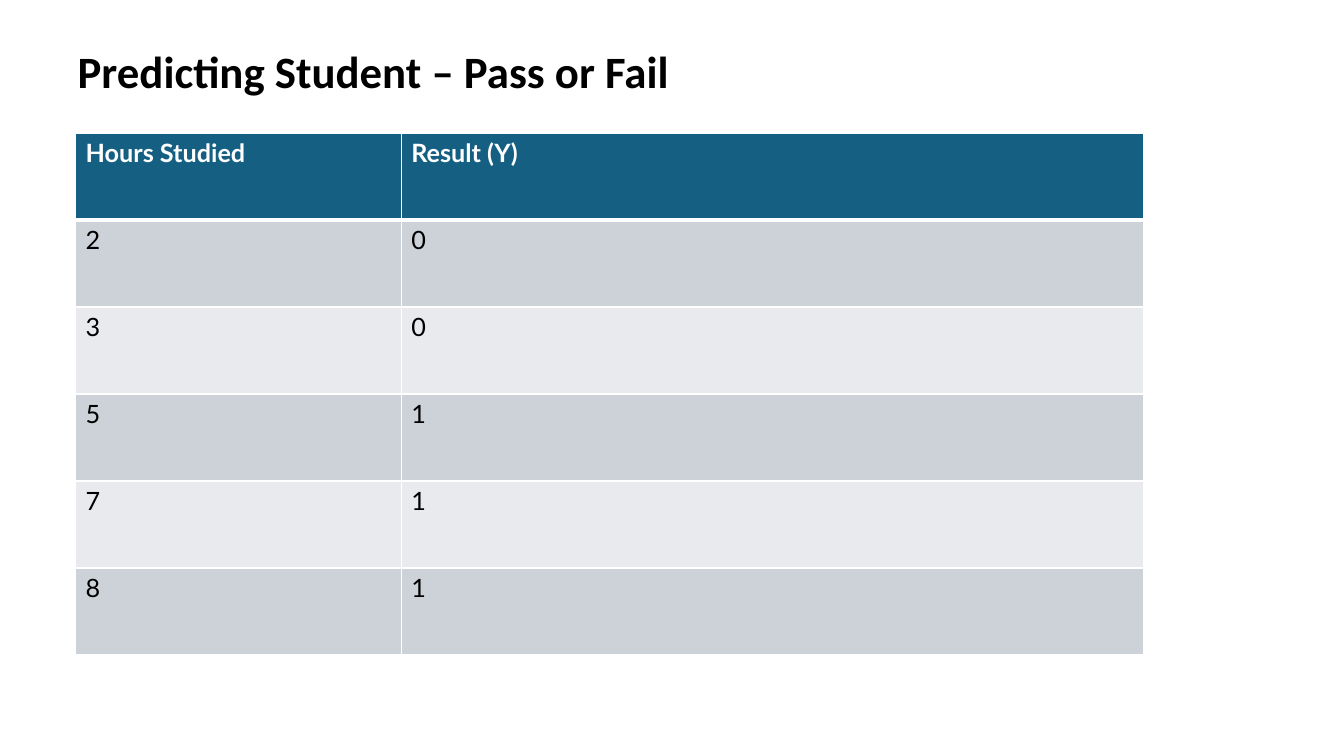
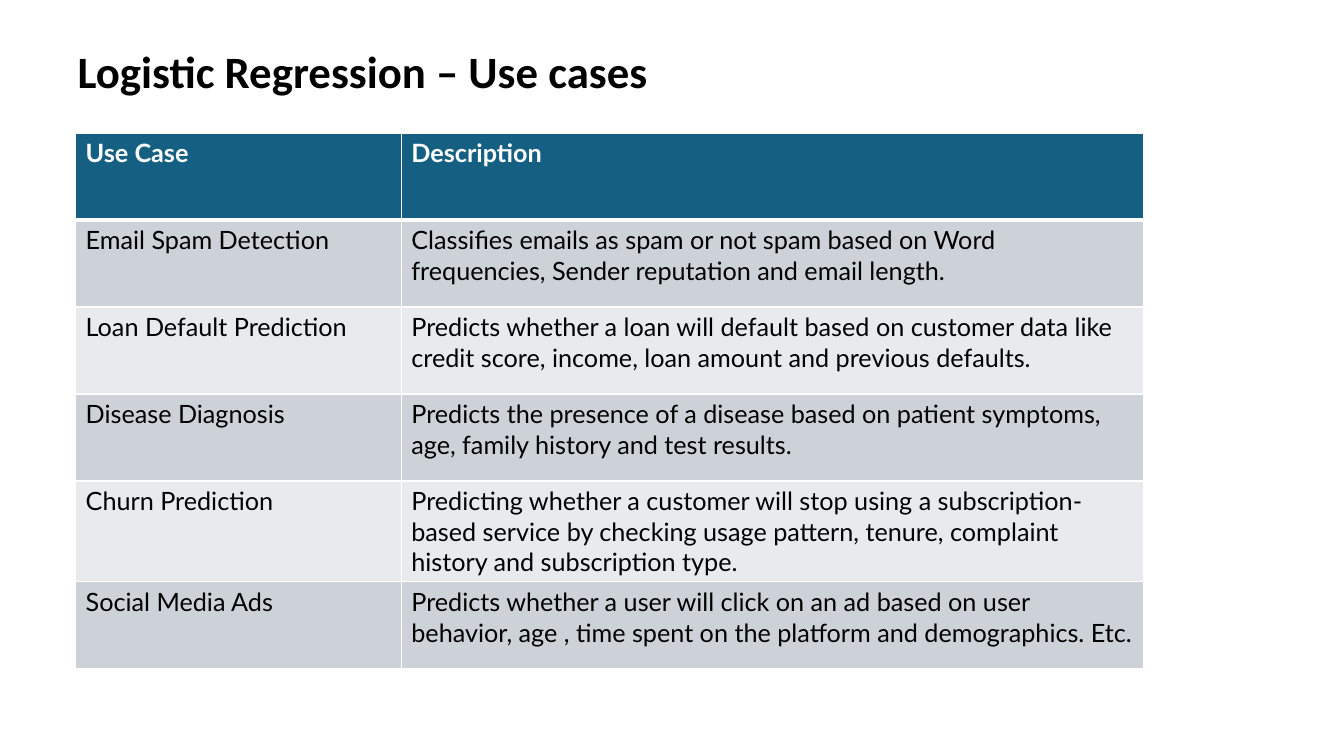
"""Build two logistic regression slides, each a title above a two-column table."""
from dataclasses import dataclass

from lxml import etree
from pptx import Presentation
from pptx import util as u
from pptx.dml.color import RGBColor
from pptx.enum import text
from pptx.oxml.ns import qn

COLORS = {"ink": "000000", "paper": "FFFFFF", "head": "156082",
          "band_dark": "CCD2D8", "band_light": "E8EAED"}
SLIDE_W, SLIDE_H = u.Inches(13.33), u.Inches(7.5)
TITLE_BOX = {"left": u.Inches(0.67), "top": u.Inches(0.33),
             "width": u.Inches(12), "height": u.Inches(1.2)}
TABLE_LEFT, TABLE_TOP = u.Inches(0.75), u.Inches(1.32)
COL_WIDTHS = (u.Inches(3.23), u.Inches(7.36))
TABLE_H = u.Inches(5.18)
TITLE_FONT = {"name": "Calibri", "size": u.Pt(32), "bold": True}
HEAD_FONT = {"name": "Lato", "size": u.Pt(18), "bold": True}
BODY_FONT = {**HEAD_FONT, "bold": False}


@dataclass(frozen=True)
class TableSlide:
    title: str
    rows: tuple[tuple[str, str], ...]


SLIDES = (
    TableSlide("Predicting Student – Pass or Fail", (
        ("Hours Studied", "Result (Y)"),
        ("2", "0"), ("3", "0"), ("5", "1"), ("7", "1"), ("8", "1"),
    )),
    TableSlide("Logistic Regression – Use cases", (
        ("Use Case", "Description"),
        ("Email Spam Detection",
         "Classifies emails as spam or not spam based on Word frequencies, "
         "Sender reputation and email length."),
        ("Loan Default Prediction",
         "Predicts whether a loan will default based on customer data like "
         "credit score, income, loan amount and previous defaults."),
        ("Disease Diagnosis",
         "Predicts the presence of a disease based on patient symptoms, "
         "age, family history and test results."),
        ("Churn Prediction",
         "Predicting whether a customer will stop using a subscription-based "
         "service by checking usage pattern, tenure, complaint history and "
         "subscription type."),
        ("Social Media Ads",
         "Predicts whether a user will click on an ad based on user behavior, "
         "age , time spent on the platform and demographics. Etc."),
    )),
)


def set_attrs(target, values: dict) -> None:
    for name, value in values.items():
        setattr(target, name, value)


def write(tf, content: str, font: dict, color: str) -> None:
    p = tf.paragraphs[0]
    p.alignment = text.PP_ALIGN.LEFT
    r = p.add_run()
    r.text = content
    set_attrs(r.font, font)
    r.font.color.rgb = RGBColor.from_string(COLORS[color])


def add_title(s, content: str) -> None:
    sp = s.shapes.title
    set_attrs(sp, TITLE_BOX)
    set_attrs(sp.text_frame, {
        "word_wrap": True, "auto_size": text.MSO_AUTO_SIZE.NONE,
        "vertical_anchor": text.MSO_ANCHOR.MIDDLE,
        "margin_bottom": u.Inches(0.5)})
    write(sp.text_frame, content, TITLE_FONT, "ink")


def set_borders(cell, widths: dict[str, int]) -> None:
    tc_pr = cell._tc.get_or_add_tcPr()
    for side, points in widths.items():
        ln = etree.SubElement(tc_pr, qn(f"a:ln{side}"), w=str(u.Pt(points)))
        fill = etree.SubElement(ln, qn("a:solidFill"))
        etree.SubElement(fill, qn("a:srgbClr"), val=COLORS["paper"])


def add_table(s, rows: tuple[tuple[str, str], ...]) -> None:
    table = s.shapes.add_table(len(rows), len(COL_WIDTHS), TABLE_LEFT, TABLE_TOP,
                               sum(COL_WIDTHS), TABLE_H).table
    for column, width in zip(table.columns, COL_WIDTHS):
        column.width = width
    for i, row in enumerate(rows):
        is_head = i == 0
        band = "head" if is_head else ("band_light", "band_dark")[i % 2]
        font, color = (HEAD_FONT, "paper") if is_head else (BODY_FONT, "ink")
        borders = {"L": 1, "R": 1, "T": 3 if i == 1 else 1, "B": 3 if is_head else 1}
        for j, content in enumerate(row):
            cell = table.cell(i, j)
            set_borders(cell, borders)
            cell.fill.solid()
            cell.fill.fore_color.rgb = RGBColor.from_string(COLORS[band])
            write(cell.text_frame, content, font, color)


def main() -> None:
    prs = Presentation()
    set_attrs(prs, {"slide_width": SLIDE_W, "slide_height": SLIDE_H})
    title_only = prs.slide_layouts[5]
    for page in SLIDES:
        s = prs.slides.add_slide(title_only)
        add_title(s, page.title)
        add_table(s, page.rows)
    prs.save("out.pptx")


if __name__ == "__main__":
    main()
